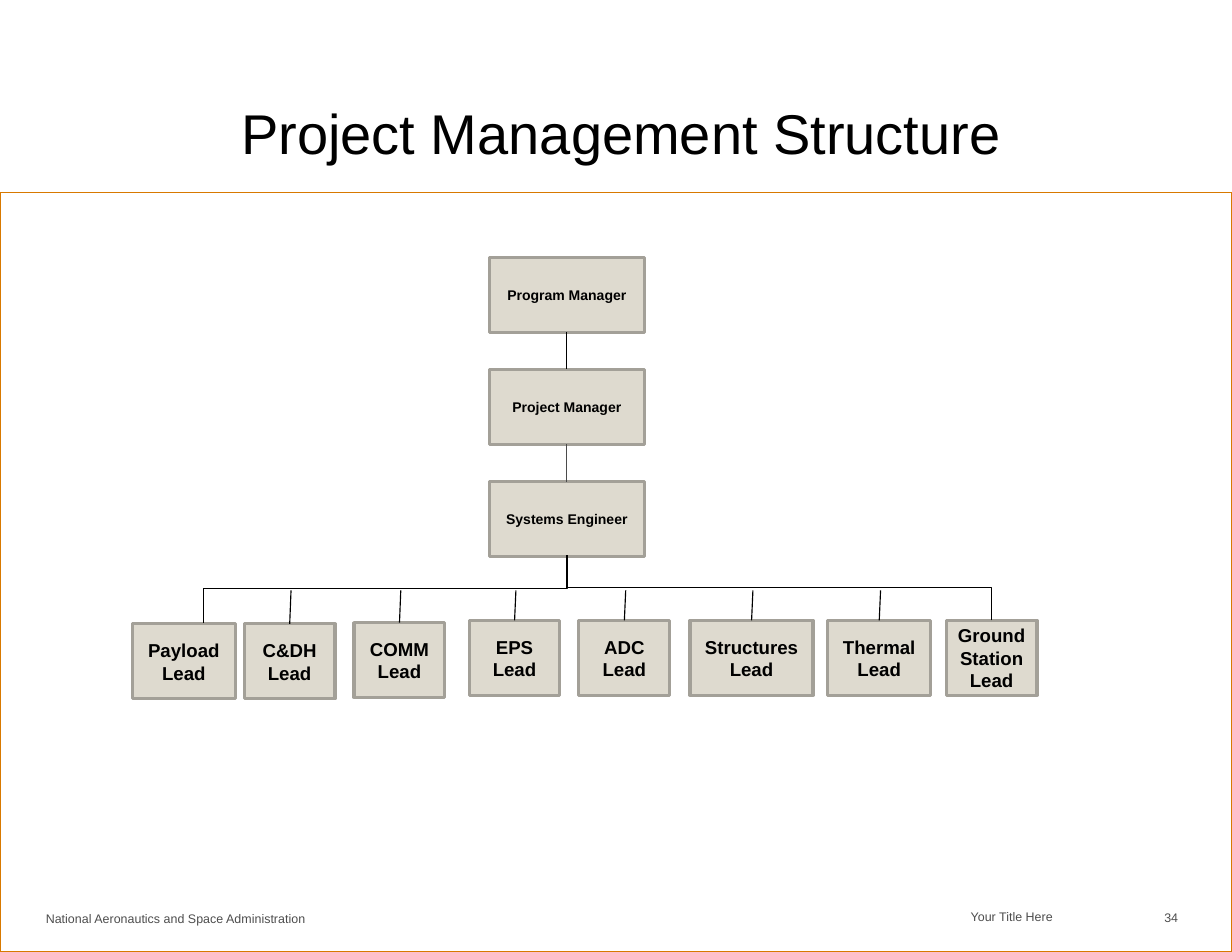
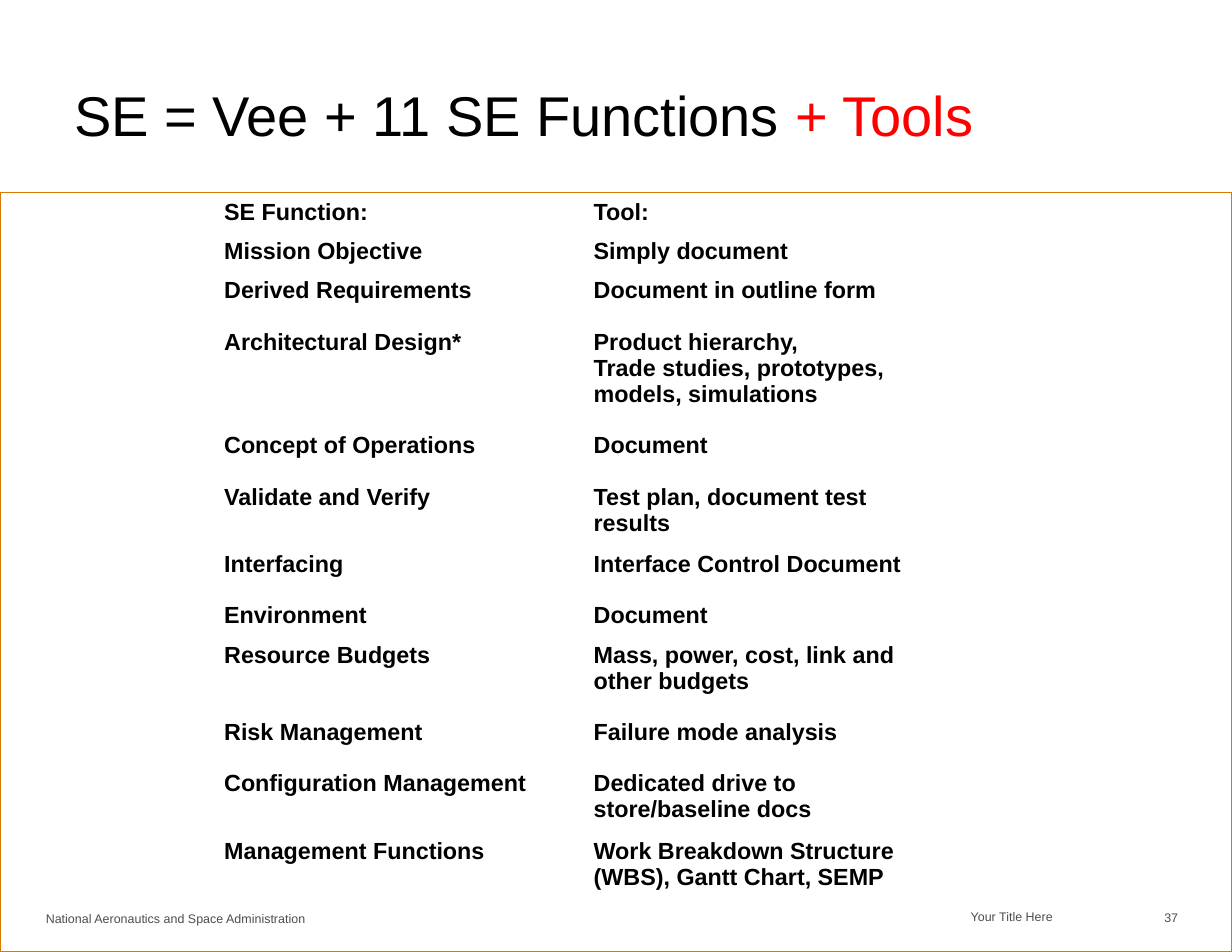
from typing import NamedTuple

from pptx import Presentation
from pptx.dml.color import RGBColor
from pptx.enum.shapes import MSO_CONNECTOR, MSO_SHAPE
from pptx.enum.text import MSO_ANCHOR, PP_ALIGN
from pptx.oxml.ns import qn
from pptx.util import Cm, Pt

BLACK = RGBColor(0, 0, 0)
RED = RGBColor(0xFF, 0, 0)
GRAY = RGBColor(0x4D, 0x4D, 0x4D)
SLATE = RGBColor(0x4B, 0x4B, 0x4B)
ORANGE = RGBColor(0xD8, 0x79, 0)
SAND = RGBColor(0xDE, 0xDA, 0xCF)
STONE = RGBColor(0xA3, 0xA0, 0x98)

RECT = MSO_SHAPE.RECTANGLE
LINE, ELBOW = MSO_CONNECTOR.STRAIGHT, MSO_CONNECTOR.ELBOW
LEFT, CENTER, RIGHT = PP_ALIGN.LEFT, PP_ALIGN.CENTER, PP_ALIGN.RIGHT
MIDDLE, BOTTOM = MSO_ANCHOR.MIDDLE, MSO_ANCHOR.BOTTOM
TOP_SIDE, LOW_SIDE = 0, 2

FONT = "Arial"
NO_GRID = "{2D5ABB26-0587-4C30-8999-92F81FD0307C}"
WIDE, HIGH = 27.94, 21.59
BAND_TOP = 4.37


class Box(NamedTuple):
    """A place on the slide, in centimetres."""
    left: float
    top: float
    width: float
    height: float

    def size(self) -> tuple:
        return tuple(Cm(n) for n in self)


class Lead(NamedTuple):
    name: str
    left: float
    top: float
    width: float


class Row(NamedTuple):
    task: str
    tool: str
    height: float


# Organisation chart
CHIEFS = ("Program Manager", "Project Manager", "Systems Engineer")
CHIEF_LEFT, CHIEF_TOP, CHIEF_STEP, CHIEF_WIDE = 11.1, 5.84, 2.54, 3.51
BOX_HIGH = 1.7
LEADS = (
    Lead("Payload Lead", 3.0, 14.15, 2.34),
    Lead("C&DH Lead", 5.54, 14.15, 2.06),
    Lead("COMM Lead", 8.03, 14.12, 2.06),
    Lead("EPS Lead", 10.64, 14.07, 2.06),
    Lead("ADC Lead", 13.13, 14.07, 2.06),
    Lead("Structures Lead", 15.65, 14.07, 2.79),
    Lead("Thermal Lead", 18.77, 14.07, 2.34),
    Lead("Ground Station Lead", 21.46, 14.07, 2.06),
)
STUB_TOP = 13.39
STUB_LEAN = 0.03
ARMS = ((4.62, 14.12), (22.48, 14.07))
HUB = (12.86, 12.58)

# Table of functions and tools
COLS = (8.38, 7.98)
ROWS = (
    Row("SE Function:", "Tool:", 0.64),
    Row("Mission Objective", "Simply document", 0.64),
    Row("Derived Requirements", "Document in outline form", 1.17),
    Row("Architectural Design*",
        "Product hierarchy,\nTrade studies, prototypes, models, simulations", 2.34),
    Row("Concept of Operations", "Document", 1.17),
    Row("Validate and Verify", "Test plan, document test results", 1.3),
    Row("Interfacing", "Interface Control Document", 1.17),
    Row("Environment", "Document", 0.64),
    Row("Resource Budgets", "Mass, power, cost, link and other budgets", 1.75),
    Row("Risk Management", "Failure mode analysis", 1.17),
    Row("Configuration Management", "Dedicated drive to store/baseline docs", 1.3),
    Row("Management Functions",
        "Work Breakdown Structure (WBS), Gantt Chart, SEMP", 2.34),
)


def write(frame, text: str, *, size: float, color: RGBColor = BLACK,
          bold: bool = False, align=LEFT, accent: str = "") -> None:
    """Fill a text frame, one paragraph a line; the accent ends it in red."""
    for i, line in enumerate(text.split("\n")):
        para = frame.add_paragraph() if i else frame.paragraphs[0]
        para.alignment = align
        add_run(para, line, size, color, bold)
    if accent:
        add_run(para, accent, size, RED, bold)


def add_run(para, text: str, size: float, color: RGBColor, bold: bool) -> None:
    run = para.add_run()
    run.text = text
    run.font.name, run.font.size, run.font.bold = FONT, Pt(size), bold
    run.font.color.rgb = color


def add_label(slide, box: Box, text: str, *, anchor=MIDDLE, **style) -> None:
    frame = slide.shapes.add_textbox(*box.size()).text_frame
    frame.word_wrap = True
    frame.vertical_anchor = anchor
    frame.margin_left = frame.margin_right = Cm(0.28)
    frame.margin_top = frame.margin_bottom = Cm(0.15)
    write(frame, text, **style)


def add_rect(slide, box: Box, edge: RGBColor, weight: float):
    rect = slide.shapes.add_shape(RECT, *box.size())
    rect.shadow.inherit = False
    rect.fill.background()
    rect.line.color.rgb = edge
    rect.line.width = Pt(weight)
    return rect


def add_card(slide, box: Box, text: str, size: float):
    card = add_rect(slide, box, STONE, 2)
    card.fill.solid()
    card.fill.fore_color.rgb = SAND
    card.text_frame.word_wrap = True
    card.text_frame.vertical_anchor = MIDDLE
    write(card.text_frame, text, size=size, bold=True, align=CENTER)
    return card


def add_link(slide, kind, start: tuple, end: tuple, color: RGBColor = BLACK):
    link = slide.shapes.add_connector(kind, *(Cm(n) for n in (*start, *end)))
    link.line.color.rgb = color
    link.line.width = Pt(0.75)
    props = link.element.spPr
    props.append(props.makeelement(qn("a:effectLst"), {}))
    return link


def add_arm(slide, start: tuple, end: tuple) -> None:
    """Elbow that leaves upwards: drawn sideways, then turned by 270 degrees."""
    (x1, y1), (x2, y2) = start, end
    mid_x, mid_y = (x1 + x2) / 2, (y1 + y2) / 2
    reach, rise = (x1 - x2) / 2, (y1 - y2) / 2
    arm = add_link(slide, ELBOW, (mid_x - rise, mid_y + reach),
                   (mid_x + rise, mid_y - reach))
    arm.element.spPr.find(qn("a:xfrm")).set("rot", str(270 * 60000))


def add_page(deck, title: str, number: int, title_top: float, **style):
    """Blank slide with the shared band, title and footers."""
    slide = deck.slides.add_slide(deck.slide_layouts[6])
    add_rect(slide, Box(0, BAND_TOP, WIDE, HIGH - BAND_TOP), ORANGE, 1)
    add_label(slide, Box(1.4, title_top, 25.37, 2.64), title, size=36, **style)
    notes = (
        (Box(0.76, 20.5, 11.35, 0.64),
         "National Aeronautics and Space Administration", LEFT),
        (Box(12.27, 19.99, 11.89, 1.12), "Your Title Here", RIGHT),
        (Box(24.38, 20.04, 2.62, 1.09), str(number), RIGHT),
    )
    for box, text, align in notes:
        add_label(slide, box, text, anchor=BOTTOM, size=8, color=GRAY, align=align)
    return slide


def build_chart(deck) -> None:
    slide = add_page(deck, "Project Management Structure", 34, 1.68, align=CENTER)

    # Chain of chiefs
    chain = [add_card(slide, Box(CHIEF_LEFT, CHIEF_TOP + i * CHIEF_STEP,
                                 CHIEF_WIDE, BOX_HIGH), name, 9)
             for i, name in enumerate(CHIEFS)]
    for upper, lower, color in zip(chain, chain[1:], (BLACK, SLATE)):
        link = add_link(slide, LINE, (0, 0), (1, 1), color)
        link.begin_connect(upper, LOW_SIDE)
        link.end_connect(lower, TOP_SIDE)

    # Team leads, with a stub for each inner one
    for lead in LEADS:
        card = add_card(slide, Box(lead.left, lead.top, lead.width, BOX_HIGH),
                        lead.name, 12)
        if lead not in (LEADS[0], LEADS[-1]):
            mid = lead.left + lead.width / 2
            stub = add_link(slide, LINE, (mid, lead.top), (mid + STUB_LEAN, STUB_TOP))
            stub.begin_connect(card, TOP_SIDE)

    # Outer arms
    for start in ARMS:
        add_arm(slide, start, HUB)


def build_table(deck) -> None:
    slide = add_page(deck, "SE = Vee + 11 SE Functions ", 37, 1.26, accent="+ Tools")
    box = Box(4.83, 4.39, sum(COLS), sum(row.height for row in ROWS))
    frame = slide.shapes.add_table(len(ROWS), len(COLS), *box.size())
    for style in frame.element.iter(qn("a:tableStyleId")):
        style.text = NO_GRID
    table = frame.table
    table.first_row = table.horz_banding = False
    for col, width in zip(table.columns, COLS):
        col.width = Cm(width)
    for line, row in zip(table.rows, ROWS):
        line.height = Cm(row.height)
        for cell, text in zip(line.cells, (row.task, row.tool)):
            cell.fill.background()
            write(cell.text_frame, text, size=15, bold=True)


def main() -> None:
    deck = Presentation()
    deck.slide_width, deck.slide_height = Cm(WIDE), Cm(HIGH)
    build_chart(deck)
    build_table(deck)
    deck.save("out.pptx")


if __name__ == "__main__":
    main()
